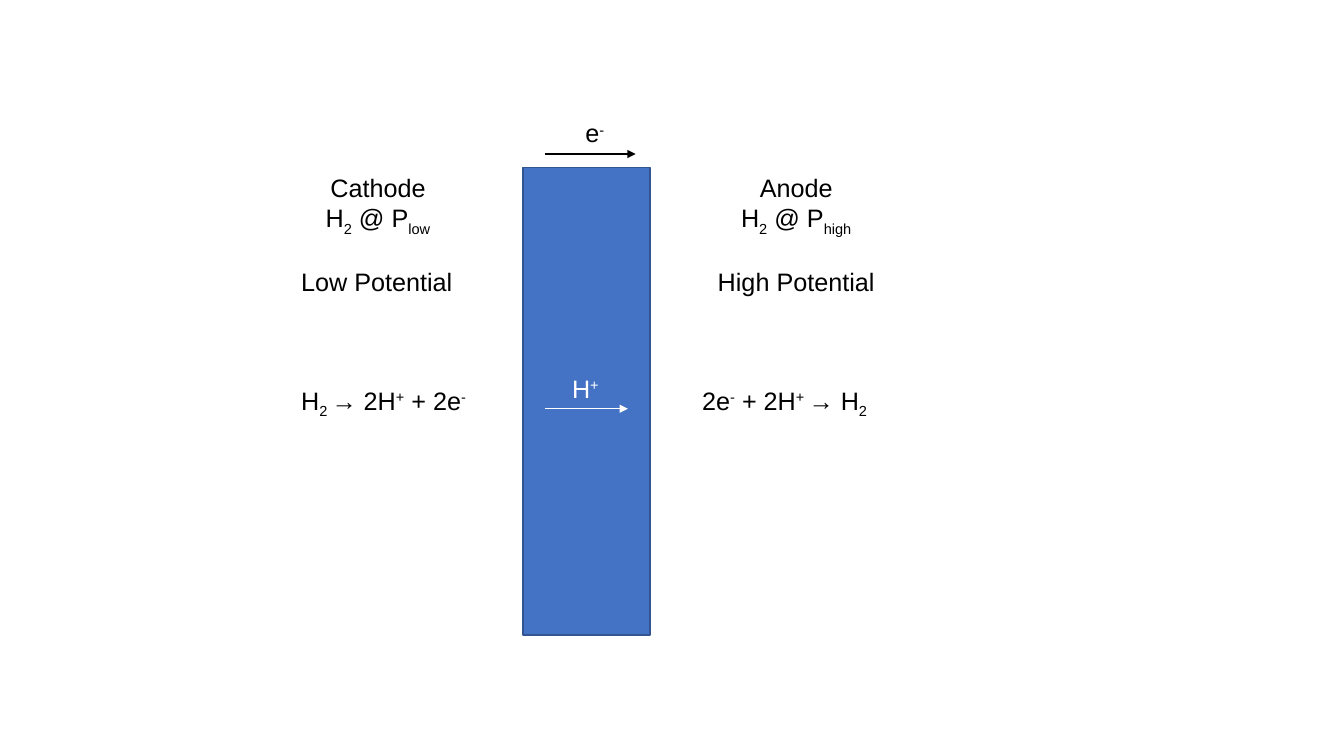
from pptx import Presentation
from pptx.dml.color import RGBColor as Rgb
from pptx.enum.shapes import MSO_CONNECTOR as Connector, MSO_SHAPE as Preset
from pptx.enum.text import MSO_AUTO_SIZE as AutoSize, PP_ALIGN as Align
from pptx.oxml.ns import qn
from pptx.util import Pt
from lxml.etree import SubElement

COLORS = {"membrane": "4472C4", "edge": "325491", "ink": "000000", "light": "FFFFFF"}
FONT = {"name": "Arial", "size": Pt(18)}
FRAME = {"word_wrap": False, "auto_size": AutoSize.SHAPE_TO_FIT_TEXT}
CENTERED = {"alignment": Align.CENTER}
AFTER_GAP = {"space_before": Pt(21)}

# Baseline shifts in thousandths of a percent
SUB, SUPER = -25000, 30000


def apply_format(target, values):
    for name, value in values.items():
        setattr(target, name, value)


def color(name):
    return Rgb.from_string(COLORS[name])


def add_membrane(page, left, top, width, height):
    box = page.shapes.add_shape(Preset.RECTANGLE, Pt(left), Pt(top), Pt(width), Pt(height))
    box.shadow.inherit = False
    box.fill.solid()
    box.fill.fore_color.rgb = color("membrane")
    box.line.color.rgb = color("edge")
    box.line.width = Pt(1)


def add_text(page, left, top, width, height, lines, ink="ink"):
    """Each line is (paragraph format, spans); a span is (text, baseline shift)."""
    box = page.shapes.add_textbox(Pt(left), Pt(top), Pt(width), Pt(height))
    frame = box.text_frame
    apply_format(frame, FRAME)
    for index, (layout, spans) in enumerate(lines):
        para = frame.add_paragraph() if index else frame.paragraphs[0]
        apply_format(para, layout)
        for text, shift in spans:
            span = para.add_run()
            span.text = text
            apply_format(span.font, FONT)
            span.font.color.rgb = color(ink)
            if shift:
                span.font._element.set("baseline", str(shift))


def add_electrode(page, left, width, name, pressure, potential, potential_align):
    add_text(page, left, 119.5, width, 94.3, [
        (CENTERED, [(name, 0)]),
        (CENTERED, [("H", 0), ("2", SUB), (" @ P", 0), (pressure, SUB)]),
        ({**AFTER_GAP, "alignment": potential_align}, [(potential, 0)]),
    ])


def add_formula(page, left, top, width, spans, ink="ink"):
    add_text(page, left, top, width, 29, [({}, spans)], ink)


def add_arrow(page, left, right, y, ink):
    arrow = page.shapes.add_connector(Connector.STRAIGHT, Pt(left), Pt(y), Pt(right), Pt(y))
    arrow.line.color.rgb = color(ink)
    arrow.line.width = Pt(1)
    SubElement(arrow.line._get_or_add_ln(), qn("a:tailEnd"), type="triangle")
    SubElement(arrow._element.spPr, qn("a:effectLst"))


def main():
    deck = Presentation()
    deck.slide_width, deck.slide_height = Pt(960), Pt(540)
    page = deck.slides.add_slide(deck.slide_layouts[6])

    # Membrane between the electrodes
    add_membrane(page, 373.7, 119.5, 90.7, 334)

    # Electrode conditions
    add_electrode(page, 502.5, 132.5, "Anode", "high", "High Potential", Align.CENTER)
    add_electrode(page, 208, 124, "Cathode", "low", "Low Potential", Align.LEFT)

    # Half reactions
    add_formula(page, 208, 271.5, 137.5, [
        ("H", 0), ("2 ", SUB), ("→ 2H", 0), ("+", SUPER), (" + 2e", 0), ("-", SUPER)])
    add_formula(page, 494.5, 271.5, 141, [
        ("2e", 0), ("-", SUPER), (" + 2H", 0), ("+ ", SUPER), ("→ H", 0), ("2 ", SUB)])

    # Proton flow through the membrane
    add_formula(page, 401.5, 263, 34.5, [("H", 0), ("+", SUPER)], "light")
    add_arrow(page, 389, 448.5, 292, "light")

    # Electron flow above the membrane
    add_formula(page, 411, 80.6, 29.5, [("e", 0), ("-", SUPER)])
    add_arrow(page, 389, 454, 110, "ink")

    deck.save("out.pptx")


main()
